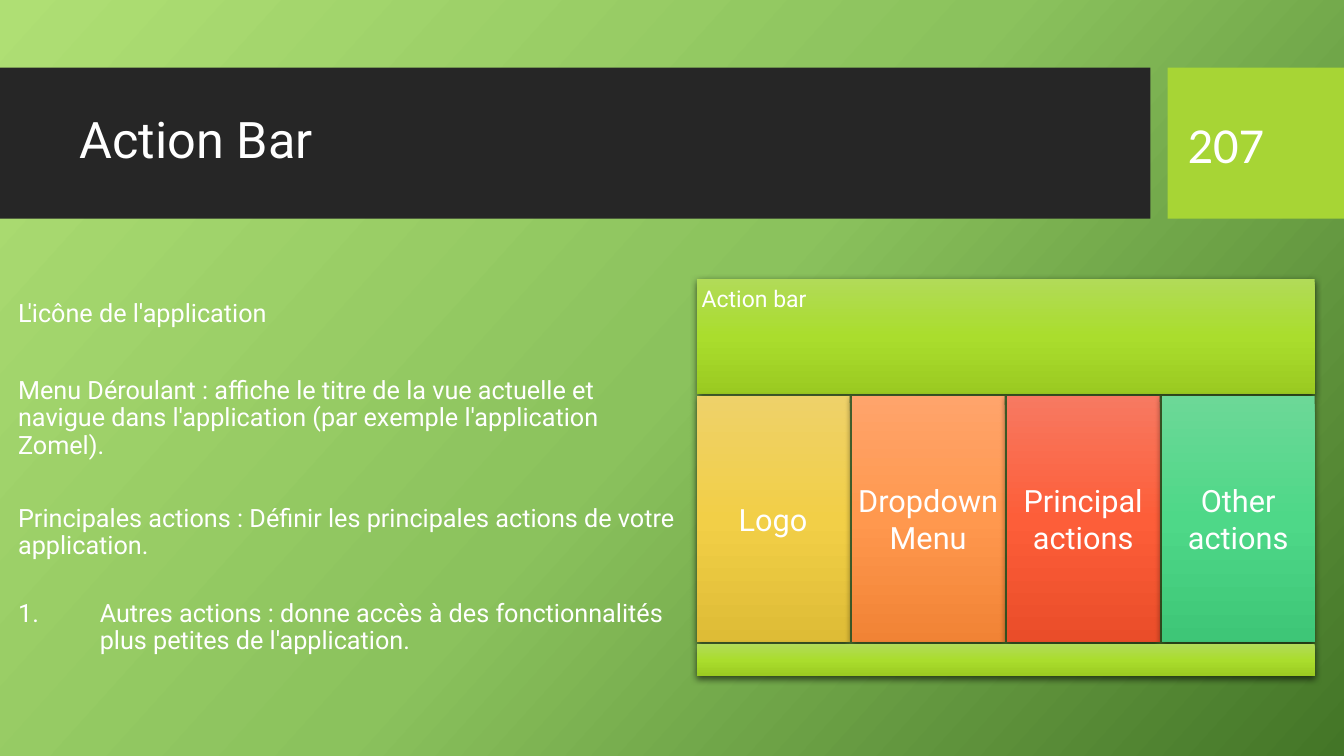
from lxml.etree import SubElement
from pptx import Presentation
from pptx.dml.color import RGBColor
from pptx.enum.shapes import MSO_SHAPE
from pptx.enum.text import MSO_ANCHOR, MSO_AUTO_SIZE, PP_ALIGN
from pptx.oxml import parse_xml
from pptx.oxml.ns import nsdecls, qn
from pptx.util import Emu, Inches, Pt

WHITE = RGBColor(0xFF, 0xFF, 0xFF)
CHARCOAL = RGBColor(0x26, 0x26, 0x26)
LIME = RGBColor(0xA7, 0xD5, 0x35)
BACKDROP = [RGBColor(0xAF, 0xDF, 0x74), RGBColor(0x8B, 0xC2, 0x5D), RGBColor(0x43, 0x75, 0x27)]
GREEN = [RGBColor(0xB1, 0xDB, 0x58), RGBColor(0xAA, 0xDD, 0x2D), RGBColor(0x9A, 0xCA, 0x21)]
YELLOW = [RGBColor(0xEE, 0xD1, 0x69), RGBColor(0xF2, 0xCF, 0x47), RGBColor(0xDE, 0xBC, 0x36)]
ORANGE = [RGBColor(0xFF, 0xA4, 0x6B), RGBColor(0xFF, 0x98, 0x4E), RGBColor(0xF1, 0x83, 0x35)]
RED = [RGBColor(0xF7, 0x79, 0x61), RGBColor(0xFD, 0x5E, 0x39), RGBColor(0xEA, 0x4D, 0x29)]
MINT = [RGBColor(0x6C, 0xD8, 0x97), RGBColor(0x4E, 0xD8, 0x88), RGBColor(0x3E, 0xC6, 0x77)]

TITLE = "Action Bar"
PAGE_NUMBER = "207"
BAR_LABEL = "Action bar"
BAR_PARTS = [("Logo", YELLOW), ("Dropdown Menu", ORANGE),
             ("Principal actions", RED), ("Other actions", MINT)]
# Wording and the space before it, in points
EXPLANATIONS = [
    ("L'icône de l'application", 0),
    ("Menu Déroulant : affiche le titre de la vue actuelle et navigue dans "
     "l'application (par exemple l'application Zomel).", 36),
    ("Principales actions : Définir les principales actions de votre application.", 33),
    ("Autres actions : donne accès à des fonctionnalités plus petites de l'application.", 29),
]

# Inches
SLIDE_WIDTH, SLIDE_HEIGHT = 13.33, 7.5
BAND_TOP, BAND_HEIGHT = 0.67, 1.5
BAND_WIDTH, NUMBER_WIDTH = 11.41, 1.75
DIAGRAM_LEFT, DIAGRAM_TOP, DIAGRAM_WIDTH = 6.91, 2.77, 6.13
HEADER_HEIGHT, PART_HEIGHT, FOOTER_HEIGHT = 1.14, 2.44, 0.32
GAP = 0.02


def gradient(colors, angle):
    stops = "".join(
        f'<a:gs pos="{position}"><a:srgbClr val="{color}"/></a:gs>'
        for position, color in zip((0, 50000, 100000), colors))
    return parse_xml(f'<a:gradFill {nsdecls("a")} rotWithShape="1"><a:gsLst>{stops}</a:gsLst>'
                     f'<a:lin ang="{angle * 60000}" scaled="0"/></a:gradFill>')


def set_gradient(fill, properties, colors, angle):
    """Swap a solid fill for a three-stop gradient, keeping its place in the XML."""
    fill.solid()
    solid = properties.find(qn("a:solidFill"))
    properties.replace(solid, gradient(colors, angle))


def add_shadow(shape):
    shape.shadow.inherit = False
    effects = shape.element.spPr.find(qn("a:effectLst"))
    shadow = SubElement(effects, qn("a:outerShdw"), blurRad=str(Pt(5)), dist=str(Pt(1.5)),
                        dir=str(90 * 60000), algn="ctr", rotWithShape="0")
    black = SubElement(shadow, qn("a:srgbClr"), val="000000")
    SubElement(black, qn("a:alpha"), val="63000")


def prepare(frame, anchor, wrap=True):
    frame.word_wrap = wrap
    frame.auto_size = MSO_AUTO_SIZE.NONE
    frame.vertical_anchor = anchor
    frame.margin_left = frame.margin_right = Inches(0.05)
    frame.margin_top = frame.margin_bottom = Inches(0.05)


def format_text(paragraph, size, align=PP_ALIGN.LEFT, font_name="Roboto"):
    paragraph.alignment = align
    for run in paragraph.runs:
        run.font.size = Pt(size)
        run.font.name = font_name
        run.font.color.rgb = WHITE


def add_band(slide, left, width, color):
    band = slide.shapes.add_shape(MSO_SHAPE.RECTANGLE, Inches(left), Inches(BAND_TOP),
                                  Inches(width), Inches(BAND_HEIGHT))
    band.shadow.inherit = False
    band.fill.solid()
    band.fill.fore_color.rgb = color
    band.line.fill.background()
    slide.shapes.title.element.addprevious(band.element)


def add_tile(shapes, left, top, width, height, colors, label="", size=21.9,
             anchor=MSO_ANCHOR.MIDDLE, align=PP_ALIGN.CENTER):
    tile = shapes.add_shape(MSO_SHAPE.RECTANGLE, Inches(left), Inches(top),
                            Inches(width), Inches(height))
    set_gradient(tile.fill, tile.element.spPr, colors, 90)
    tile.line.fill.background()
    add_shadow(tile)
    if label:
        prepare(tile.text_frame, anchor)
        tile.text_frame.text = label
        format_text(tile.text_frame.paragraphs[0], size, align)


def add_header(slide):
    add_band(slide, 0, BAND_WIDTH, CHARCOAL)
    add_band(slide, SLIDE_WIDTH - NUMBER_WIDTH, NUMBER_WIDTH, LIME)

    title = slide.shapes.title
    title.left, title.top, title.width, title.height = map(Inches, (0.74, 0.82, 10.51, 1.18))
    prepare(title.text_frame, MSO_ANCHOR.MIDDLE)
    title.text_frame.text = TITLE
    title.text_frame.paragraphs[0].line_spacing = 0.9
    format_text(title.text_frame.paragraphs[0], 36)

    number = slide.shapes.add_textbox(*map(Inches, (11.73, 1.08, 0.64, 0.68))).text_frame
    prepare(number, MSO_ANCHOR.MIDDLE, wrap=False)
    number.text = PAGE_NUMBER
    format_text(number.paragraphs[0], 36, font_name="Calibri")


def add_diagram(slide):
    tiles = slide.shapes.add_group_shape().shapes
    parts_top = DIAGRAM_TOP + HEADER_HEIGHT + GAP
    part_width = (DIAGRAM_WIDTH - GAP * (len(BAR_PARTS) - 1)) / len(BAR_PARTS)
    add_tile(tiles, DIAGRAM_LEFT, DIAGRAM_TOP, DIAGRAM_WIDTH, HEADER_HEIGHT, GREEN,
             BAR_LABEL, 16.4, MSO_ANCHOR.TOP, PP_ALIGN.LEFT)
    for column, (label, colors) in enumerate(BAR_PARTS):
        add_tile(tiles, DIAGRAM_LEFT + column * (part_width + GAP), parts_top,
                 part_width, PART_HEIGHT, colors, label)
    add_tile(tiles, DIAGRAM_LEFT, parts_top + PART_HEIGHT + GAP,
             DIAGRAM_WIDTH, FOOTER_HEIGHT, GREEN)


def add_explanations(slide):
    body = slide.shapes.add_textbox(*map(Inches, (0.13, DIAGRAM_TOP, 6.63, 3.94))).text_frame
    prepare(body, MSO_ANCHOR.MIDDLE)
    body.text = "\n".join(wording for wording, _ in EXPLANATIONS)
    for paragraph, (_, space) in zip(body.paragraphs, EXPLANATIONS):
        paragraph.line_spacing = 0.9
        paragraph.space_before = Pt(space)
        format_text(paragraph, 18)
    numbered = body.paragraphs[-1].runs[0].font and body.paragraphs[-1]
    properties = numbered._p.get_or_add_pPr()
    indent = Emu(Inches(0.81))
    properties.set("marL", str(indent))
    properties.set("indent", str(-indent))
    SubElement(properties, qn("a:buFont"), typeface="+mj-lt")
    SubElement(properties, qn("a:buAutoNum"), type="arabicPeriod")


def main():
    deck = Presentation()
    deck.slide_width, deck.slide_height = Inches(SLIDE_WIDTH), Inches(SLIDE_HEIGHT)
    slide = deck.slides.add_slide(deck.slide_layouts[5])
    fill = slide.background.fill
    fill.solid()
    set_gradient(fill, slide.element.cSld.bg.bgPr, BACKDROP, 42)
    add_header(slide)
    add_diagram(slide)
    add_explanations(slide)
    deck.save("out.pptx")


if __name__ == "__main__":
    main()
